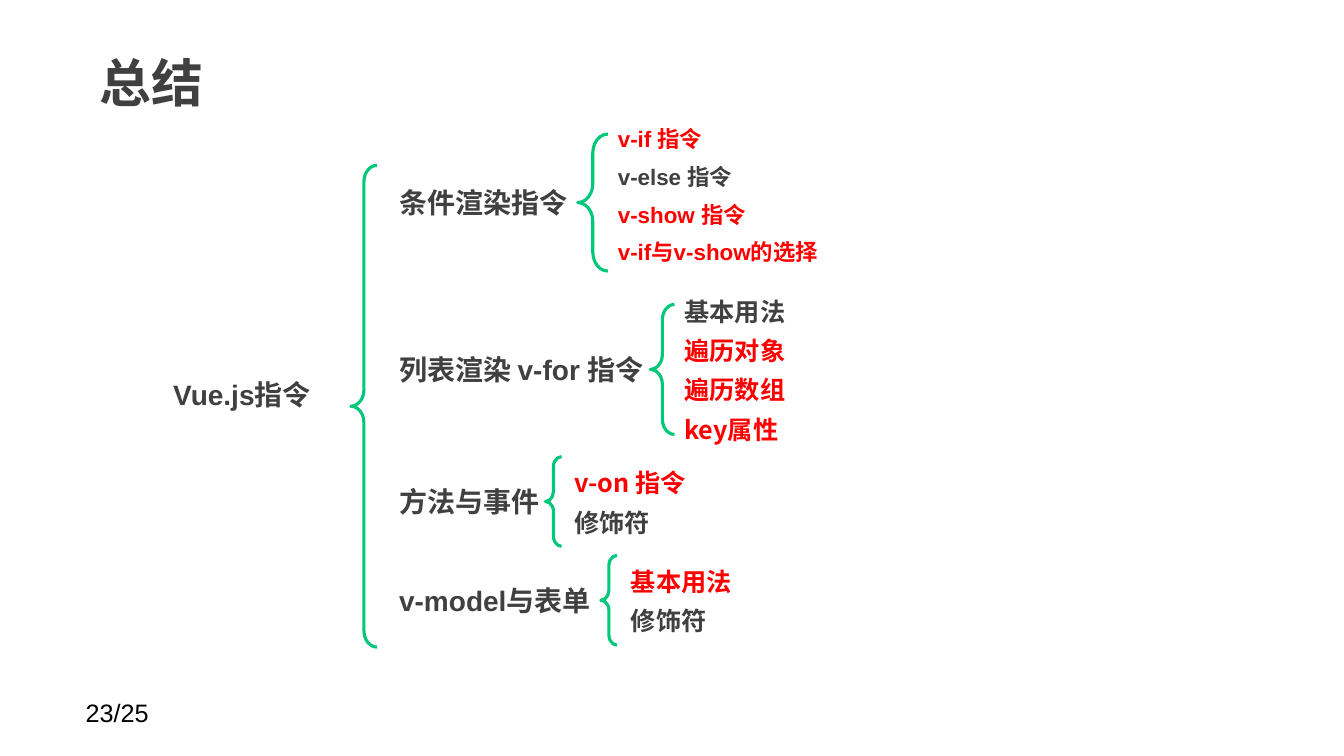
from dataclasses import dataclass

from lxml import etree
from pptx import Presentation
from pptx.dml.color import RGBColor
from pptx.enum.shapes import MSO_SHAPE
from pptx.enum.text import MSO_ANCHOR, PP_ALIGN
from pptx.oxml.ns import qn
from pptx.util import Inches, Pt

LEFT_BRACE = MSO_SHAPE.LEFT_BRACE
TOP, MIDDLE = MSO_ANCHOR.TOP, MSO_ANCHOR.MIDDLE
LEFT, CENTER = PP_ALIGN.LEFT, PP_ALIGN.CENTER

BLACK = RGBColor(0x00, 0x00, 0x00)
GREY = RGBColor(0x40, 0x40, 0x40)
RED = RGBColor(0xFF, 0x00, 0x00)
GREEN = RGBColor(0x00, 0xC7, 0x7A)
ARIAL, NOTO = "Arial", "Noto Sans CJK SC"

# The grid has 10 columns and 10 rows to the inch.
COL = ROW = Inches(0.1)
HEADING_COL, HEADING_ROWS = 38.6, 4.4


@dataclass
class Branch:
    heading: str
    brace: tuple  # left, top, width, height
    items: list  # (text, colour)
    items_at: tuple  # left, top, width, height
    size: int = 18
    font: str = NOTO
    spacing: float = 1.3


BRANCHES = [
    Branch("条件渲染指令", (57.3, 13.3, 3, 13.6),
           [("v-if 指令", RED), ("v-else 指令", GREY),
            ("v-show 指令", RED), ("v-if与v-show的选择", RED)],
           (60.3, 10.9, 36.4, 16.1), 16, ARIAL, 1.4),
    Branch("列表渲染 v-for 指令", (64.5, 30.2, 2.4, 12.9),
           [("基本用法", GREY), ("遍历对象", RED),
            ("遍历数组", RED), ("key属性", RED)],
           (66.9, 28, 34.3, 16.7)),
    Branch("方法与事件", (54.1, 45.3, 1.6, 8.9),
           [("v-on 指令", RED), ("修饰符", GREY)],
           (56, 45, 40.9, 8.9)),
    Branch("v-model与表单", (59.6, 55.1, 1.6, 8.9),
           [("基本用法", RED), ("修饰符", GREY)],
           (61.6, 54.8, 40.9, 8.9)),
]


def grid(left, top, width, height):
    return (round(left * COL), round(top * ROW),
            round(width * COL), round(height * ROW))


def format_paragraph(p, text, color, size, font=ARIAL, bold=True):
    """Fill a paragraph and set its Latin and East Asian fonts."""
    p.text = text
    p.font.size = Pt(size)
    p.font.bold = bold
    p.font.name = font
    p.font.color.rgb = color
    properties = p.font._element
    etree.SubElement(properties, qn("a:ea")).set("typeface", NOTO)


def add_text(slide, at, lines, size, font=ARIAL, bold=True, spacing=None,
             align=LEFT, anchor=TOP):
    """Add a text box with one paragraph for each (text, colour) line."""
    tf = slide.shapes.add_textbox(*grid(*at)).text_frame
    tf.word_wrap = True
    tf.vertical_anchor = anchor
    for i, (text, color) in enumerate(lines):
        p = tf.add_paragraph() if i else tf.paragraphs[0]
        format_paragraph(p, text, color, size, font, bold)
        p.alignment = align
        p.line_spacing = spacing


def add_brace(slide, at):
    sp = slide.shapes.add_shape(LEFT_BRACE, *grid(*at))
    sp.adjustments[0] = 0.62
    sp.adjustments[1] = 0.5
    sp.shadow.inherit = False
    sp.fill.background()
    sp.line.color.rgb = GREEN
    sp.line.width = Pt(2.25)


def add_branch(slide, branch):
    """Add a heading level with the tip of its brace, and the items beside."""
    left, top, _, height = branch.brace
    heading_top = top + (height - HEADING_ROWS) / 2
    add_text(slide, (HEADING_COL, heading_top, 29, HEADING_ROWS),
             [(branch.heading, GREY)], 20, anchor=MIDDLE)
    add_brace(slide, branch.brace)
    add_text(slide, branch.items_at, branch.items, branch.size, branch.font,
             spacing=branch.spacing)


def set_title(slide, text):
    title = slide.shapes.title
    title.left, title.top, title.width, title.height = grid(8.6, 3, 104.1, 10.3)
    tf = title.text_frame
    tf.vertical_anchor = MIDDLE
    tf.margin_left = tf.margin_right = Inches(0.13)
    tf.margin_top = tf.margin_bottom = Inches(0.06)
    p = tf.paragraphs[0]
    format_paragraph(p, text, GREY, 37, NOTO)
    p.alignment = LEFT


def main():
    prs = Presentation()
    prs.slide_width, prs.slide_height = Inches(13.33), Inches(7.5)
    slide = prs.slides.add_slide(prs.slide_layouts[5])

    set_title(slide, "总结")
    add_text(slide, (13.2, 37, 21.6, 4.4), [("Vue.js指令", GREY)], 20,
             align=CENTER)
    add_brace(slide, (34.8, 16.4, 2.6, 47.8))
    for branch in BRANCHES:
        add_branch(slide, branch)
    add_text(slide, (7.5, 68.7, 23.3, 4), [("23/25", BLACK)], 18, bold=False)

    prs.save("out.pptx")


if __name__ == "__main__":
    main()
